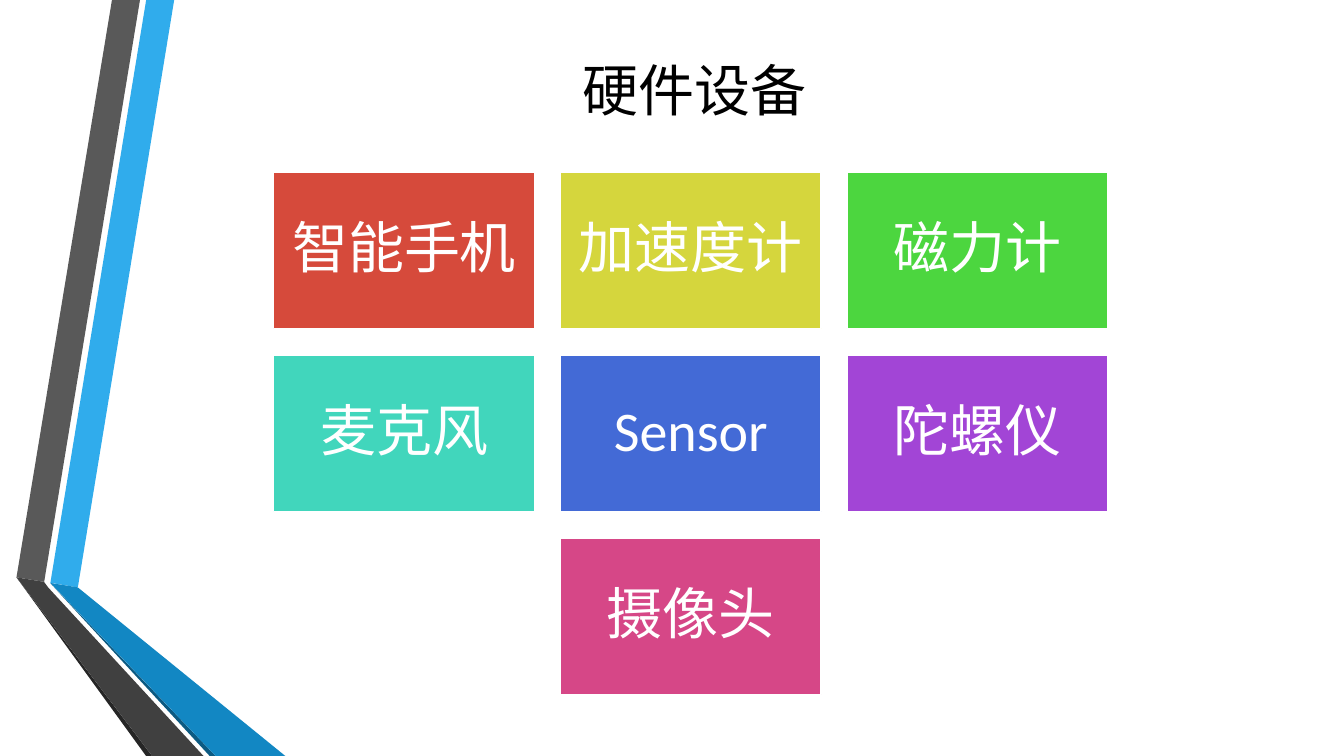
"""Build the hardware devices slide with a folded ribbon and a grid of tiles."""
from typing import Any, NamedTuple

import pptx
import pptx.dml.color
import pptx.enum.shapes
import pptx.enum.text
import pptx.util

FONT = "Calibri"
TILE_LEFT, TILE_TOP = 195.3, 123.1
TILE_WIDTH, TILE_HEIGHT = 186.6, 111.6
COLUMN_PITCH, ROW_PITCH = 204.8, 130.7


class Facet(NamedTuple):
    color: str
    points: list[tuple[float, float]]


class Tile(NamedTuple):
    label: str
    color: str
    column: int
    row: int


FACETS = [
    Facet("30ACEC", [(36, 416.2), (55.6, 419.6), (124.4, 0), (104.4, 0)]),
    Facet("595959", [(100, 0), (80, 0), (11.8, 412.4), (31.6, 415.6)]),
    Facet("262626", [(11.8, 412.4), (104.4, 540), (108.7, 540)]),
    Facet("0C5A82", [(36, 416.6), (149.8, 540), (154.1, 540)]),
    Facet("1287C3", [(36, 416.4), (154.1, 540), (203.8, 540), (55.6, 419.6)]),
    Facet("404040", [(145.4, 540), (34.6, 419.8), (31.4, 415.6),
                     (11.8, 412.4), (108.7, 540)]),
]

TILES = [
    Tile("智能手机", "D64A3B", 0, 0),
    Tile("加速度计", "D5D63D", 1, 0),
    Tile("磁力计", "4CD63F", 2, 0),
    Tile("麦克风", "41D6BC", 0, 1),
    Tile("Sensor", "436AD6", 1, 1),
    Tile("陀螺仪", "A245D6", 2, 1),
    Tile("摄像头", "D64787", 1, 2),
]


def rgb(value: str) -> pptx.dml.color.RGBColor:
    """Turn a hex string into a colour."""
    return pptx.dml.color.RGBColor.from_string(value)


def apply_format(target: Any, values: dict[str, Any]) -> None:
    """Set every named attribute on the target."""
    for name, value in values.items():
        setattr(target, name, value)


def paint(shape: Any, color: str) -> None:
    """Give a shape a plain fill without a shadow."""
    shape.shadow.inherit = False
    shape.fill.solid()
    shape.fill.fore_color.rgb = rgb(color)


def write(shape: Any, text: str, color: str, inset: float, spacing: float) -> None:
    """Write one centred line into a shape."""
    margin = pptx.util.Pt(inset)
    apply_format(shape.text_frame, {
        "word_wrap": True,
        "vertical_anchor": pptx.enum.text.MSO_ANCHOR.MIDDLE,
        "margin_left": margin, "margin_right": margin,
        "margin_top": margin, "margin_bottom": margin,
    })
    para = shape.text_frame.paragraphs[0]
    apply_format(para, {"alignment": pptx.enum.text.PP_ALIGN.CENTER,
                        "line_spacing": spacing})
    span = para.add_run()
    span.text = text
    apply_format(span.font, {"name": FONT, "size": pptx.util.Pt(40)})
    span.font.color.rgb = rgb(color)


def draw_facet(page: Any, facet: Facet) -> None:
    """Draw one closed face of the ribbon."""
    corners = [(pptx.util.Pt(x), pptx.util.Pt(y)) for x, y in facet.points]
    builder = page.shapes.build_freeform(*corners[0])
    builder.add_line_segments(corners[1:], close=True)
    shape = builder.convert_to_shape()
    paint(shape, facet.color)
    shape.line.fill.background()


def draw_tile(page: Any, tile: Tile) -> None:
    """Draw one labelled tile in its grid cell."""
    box = page.shapes.add_shape(
        pptx.enum.shapes.MSO_SHAPE.RECTANGLE,
        pptx.util.Pt(TILE_LEFT + tile.column * COLUMN_PITCH),
        pptx.util.Pt(TILE_TOP + tile.row * ROW_PITCH),
        pptx.util.Pt(TILE_WIDTH), pptx.util.Pt(TILE_HEIGHT))
    paint(box, tile.color)
    box.line.color.rgb = rgb("FFFFFF")
    box.line.width = pptx.util.Pt(1.25)
    write(box, tile.label, "FFFFFF", 12, 0.9)


def main() -> None:
    """Build and save the deck."""
    deck = pptx.Presentation()
    apply_format(deck, {"slide_width": pptx.util.Pt(960),
                        "slide_height": pptx.util.Pt(540)})
    page = deck.slides.add_slide(deck.slide_layouts[6])
    for facet in FACETS:
        draw_facet(page, facet)
    title = page.shapes.add_textbox(pptx.util.Pt(101.5), pptx.util.Pt(21.6),
                                    pptx.util.Pt(789), pptx.util.Pt(83.5))
    write(title, "硬件设备", "000000", 3.6, 1.0)
    for tile in TILES:
        draw_tile(page, tile)
    deck.save("out.pptx")


if __name__ == "__main__":
    main()
